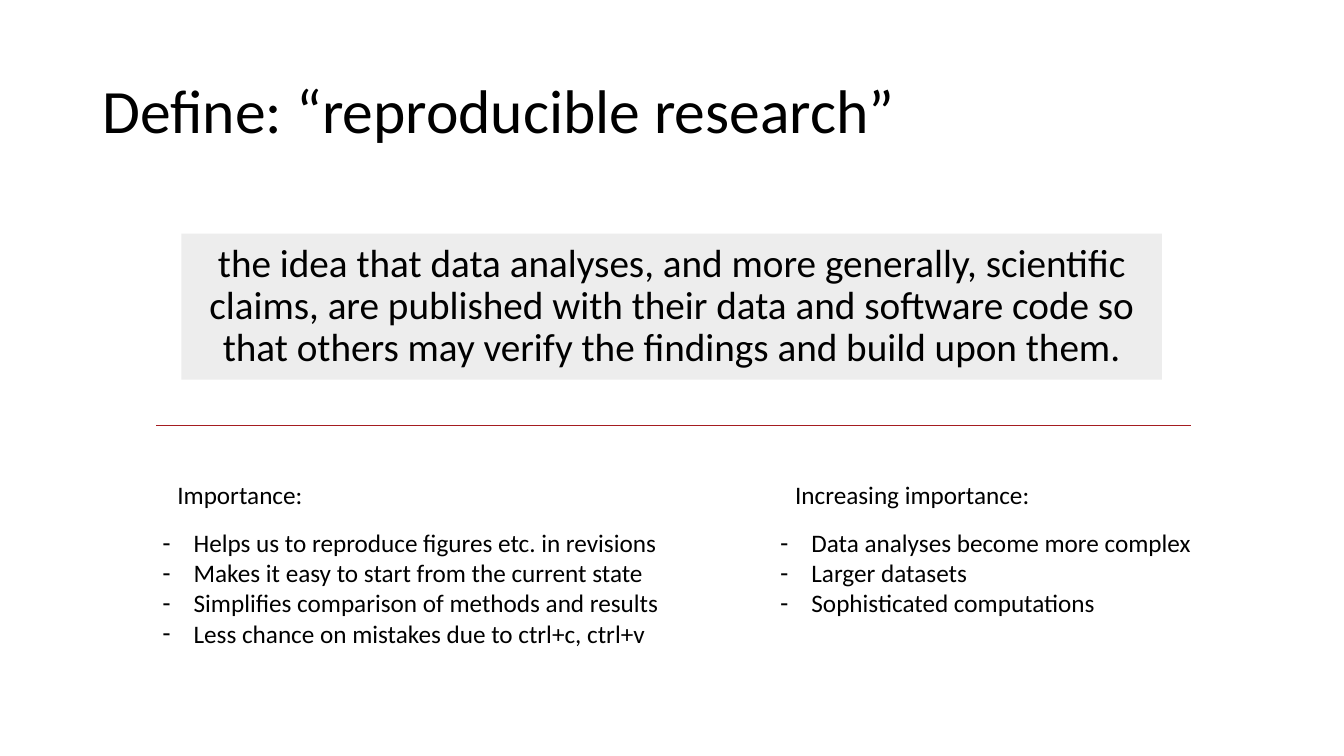
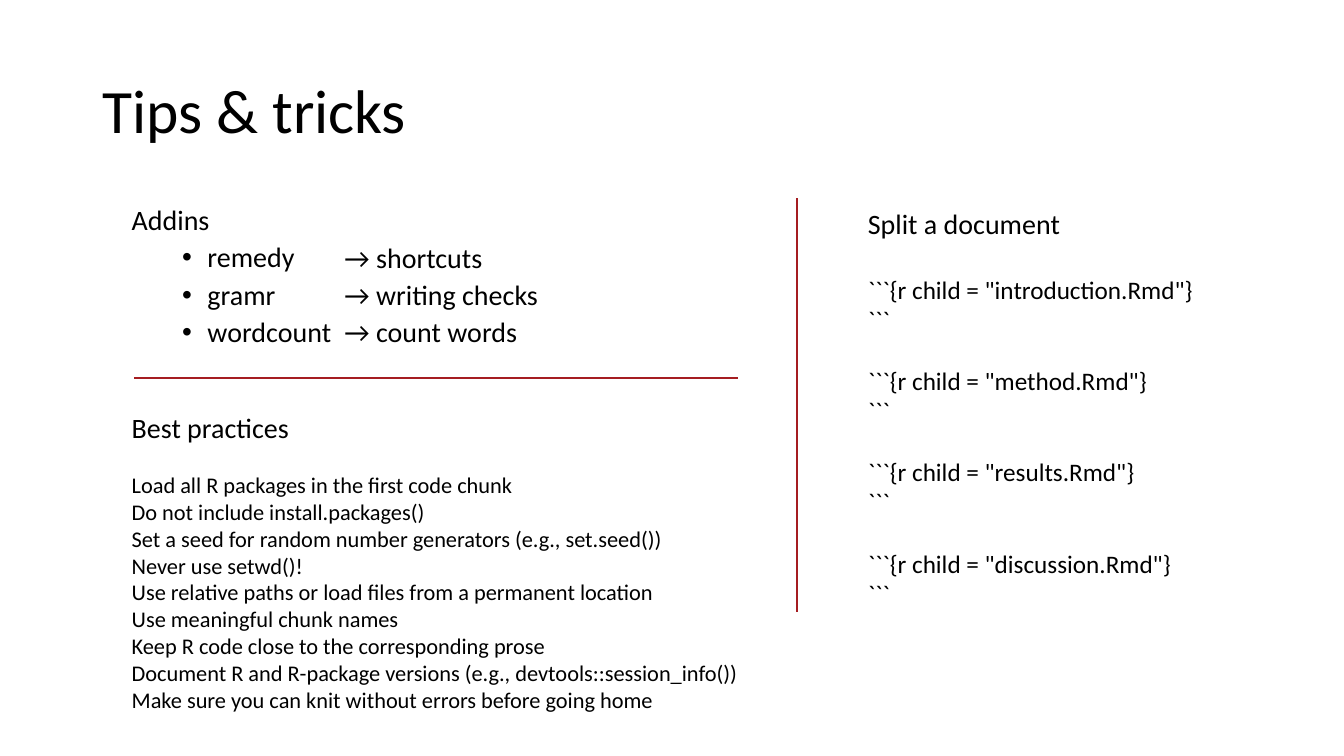
from dataclasses import dataclass, replace

from lxml import etree
from pptx import Presentation
from pptx.dml.color import RGBColor
from pptx.enum.shapes import MSO_CONNECTOR, MSO_SHAPE
from pptx.enum.text import MSO_ANCHOR, PP_ALIGN
from pptx.oxml.ns import qn
from pptx.util import Cm, Pt

STRAIGHT = MSO_CONNECTOR.STRAIGHT
RECTANGLE = MSO_SHAPE.RECTANGLE
TOP, MIDDLE = MSO_ANCHOR.TOP, MSO_ANCHOR.MIDDLE
LEFT, CENTER = PP_ALIGN.LEFT, PP_ALIGN.CENTER

FONT = "Calibri"
COLORS = {"text": "000000", "panel": "EDEDED", "rule": "A51D21"}


@dataclass(frozen=True)
class Area:
    """Position and size in centimetres."""
    left: float
    top: float
    width: float
    height: float


@dataclass(frozen=True)
class Style:
    """Sizes and spacing in points, indents in centimetres."""
    size: float
    line_spacing: float = 1.0
    before: float = 0
    align: PP_ALIGN = LEFT
    bullet: str = ""
    indent: float = 0
    hanging: float = 0


@dataclass(frozen=True)
class Line:
    text: str
    style: Style


@dataclass(frozen=True)
class ReasonList:
    left: float
    heading: str
    reasons: tuple[str, ...]
    width: float


TITLE_AREA = Area(2.33, 1.02, 29.21, 3.68)
TITLE = Style(44, line_spacing=0.9)
DEFINITION = Style(28, line_spacing=0.9, align=CENTER)
HEADING = Style(20)
BODY = Style(18)
SMALL = Style(16)
DASHED = Style(18, bullet="-", indent=0.79, hanging=0.79)
ADDIN_HEADING = Style(20, line_spacing=0.9)
ADDIN_MEANING = Style(20, line_spacing=0.9, before=5)
ADDIN_NAME = replace(ADDIN_MEANING, bullet="•", indent=1.91, hanging=0.64)

REASON_LISTS = (
    ReasonList(3.84, "Importance:", (
        "Helps us to reproduce figures etc. in revisions",
        "Makes it easy to start from the current state",
        "Simplifies comparison of methods and results",
        "Less chance on mistakes due to ctrl+c, ctrl+v",
    ), 13.4),
    ReasonList(19.41, "Increasing importance:", (
        "Data analyses become more complex",
        "Larger datasets",
        "Sophisticated computations",
    ), 11.2),
)
ADDINS = {
    "remedy": "→ shortcuts",
    "gramr": "→ writing checks",
    "wordcount": "→ count words",
}
PRACTICES = (
    "Load all R packages in the first code chunk",
    "Do not include install.packages()",
    "Set a seed for random number generators (e.g., set.seed())",
    "Never use setwd()!",
    "Use relative paths or load files from a permanent location",
    "Use meaningful chunk names",
    "Keep R code close to the corresponding prose",
    "Document R and R-package versions (e.g., devtools::session_info())",
    "Make sure you can knit without errors before going home",
)
CHAPTERS = ("introduction", "method", "results", "discussion")


def color(name: str) -> RGBColor:
    return RGBColor.from_string(COLORS[name])


def format_paragraph(para, style: Style) -> None:
    para.alignment = style.align
    para.line_spacing = style.line_spacing
    para.space_before = Pt(style.before)
    for span in para.runs:
        span.font.name = FONT
        span.font.size = Pt(style.size)
        span.font.color.rgb = color("text")
    if style.bullet:
        properties = para._p.get_or_add_pPr()
        properties.set("marL", str(Cm(style.indent)))
        properties.set("indent", str(-Cm(style.hanging)))
        etree.SubElement(properties, qn("a:buFont"), typeface="Arial")
        etree.SubElement(properties, qn("a:buChar"), char=style.bullet)


def fill_text(shape, lines: list[Line], anchor: MSO_ANCHOR) -> None:
    frame = shape.text_frame
    frame.word_wrap = True
    frame.vertical_anchor = anchor
    frame.text = "\n".join(line.text for line in lines)
    for para, line in zip(frame.paragraphs, lines):
        format_paragraph(para, line.style)


def add_text(page, area: Area, lines: list[Line], anchor: MSO_ANCHOR = TOP) -> None:
    box = page.shapes.add_textbox(
        Cm(area.left), Cm(area.top), Cm(area.width), Cm(area.height))
    fill_text(box, lines, anchor)


def add_panel(page, area: Area, line: Line) -> None:
    panel = page.shapes.add_shape(
        RECTANGLE, Cm(area.left), Cm(area.top), Cm(area.width), Cm(area.height))
    panel.shadow.inherit = False
    panel.fill.solid()
    panel.fill.fore_color.rgb = color("panel")
    panel.line.fill.background()
    fill_text(panel, [line], MIDDLE)


def add_rule(page, start: tuple[float, float], end: tuple[float, float]) -> None:
    rule = page.shapes.add_connector(
        STRAIGHT, Cm(start[0]), Cm(start[1]), Cm(end[0]), Cm(end[1]))
    rule.line.color.rgb = color("rule")
    rule.line.width = Pt(1.25)
    etree.SubElement(rule._element.spPr, qn("a:effectLst"))


def add_page(deck, title: str):
    page = deck.slides.add_slide(deck.slide_layouts[6])
    add_text(page, TITLE_AREA, [Line(title, TITLE)], MIDDLE)
    return page


def build_definition(deck) -> None:
    page = add_page(deck, "Define: “reproducible research”")
    add_panel(page, Area(4.57, 5.89, 24.71, 3.68), Line(
        "the idea that data analyses, and more generally, scientific claims, "
        "are published with their data and software code so that others may "
        "verify the findings and build upon them.", DEFINITION))
    add_rule(page, (3.94, 10.72), (30.02, 10.72))

    # Two lists of reasons, each under its heading
    for group in REASON_LISTS:
        add_text(page, Area(group.left + 0.38, 11.96, 6.6, 1.02),
                 [Line(group.heading, BODY)])
        add_text(page, Area(group.left, 13.16, group.width, 3.33),
                 [Line(reason, DASHED) for reason in group.reasons])


def build_tips(deck) -> None:
    page = add_page(deck, "Tips & tricks")

    # Addins: names on the left, meanings aligned beside them
    add_text(page, Area(3.07, 5.08, 5.8, 4.8),
             [Line("Addins", ADDIN_HEADING)]
             + [Line(name, ADDIN_NAME) for name in ADDINS])
    add_text(page, Area(8.43, 6.02, 8, 3.86),
             [Line(meaning, ADDIN_MEANING) for meaning in ADDINS.values()])

    # Best practices
    first, *others = PRACTICES
    add_text(page, Area(3.07, 10.21, 16.94, 7.95),
             [Line("Best practices", HEADING),
              Line(first, replace(SMALL, before=19.5))]
             + [Line(practice, SMALL) for practice in others])

    # Child documents
    add_text(page, Area(21.62, 5.08, 5.6, 1.12),
             [Line("Split a document", HEADING)])
    chunks = []
    for chapter in CHAPTERS:
        gap = 22 if chunks else 0
        chunks.append(Line(f'```{{r child = "{chapter}.Rmd"}}',
                           replace(BODY, before=gap)))
        chunks.append(Line("```", BODY))
    add_text(page, Area(21.62, 6.78, 10.95, 8.71), chunks)

    # Dividing rules
    add_rule(page, (3.38, 9.53), (18.59, 9.53))
    add_rule(page, (20.09, 5), (20.09, 15.42))


def main() -> None:
    deck = Presentation()
    deck.slide_width, deck.slide_height = Cm(33.87), Cm(19.05)
    build_definition(deck)
    build_tips(deck)
    deck.save("out.pptx")


if __name__ == "__main__":
    main()
